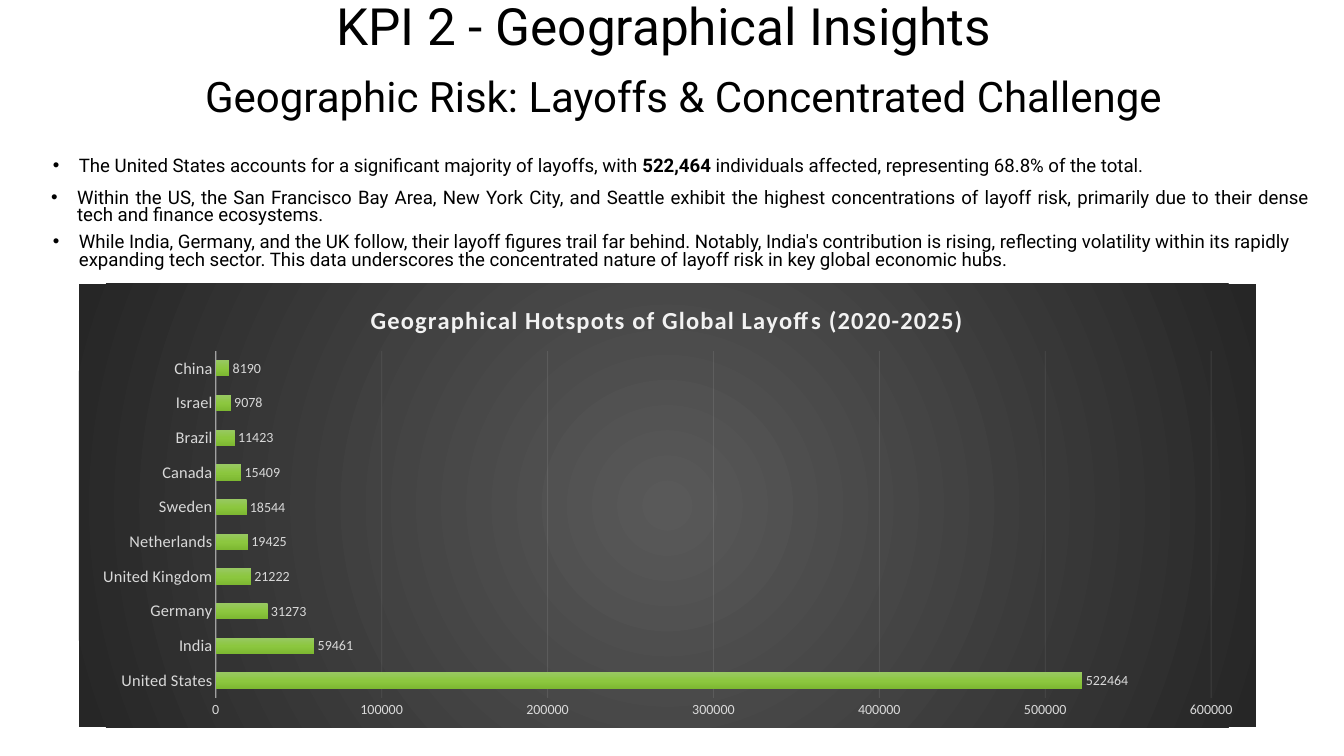
from dataclasses import dataclass
from typing import Any

from lxml import etree
from pptx import Presentation
from pptx import util as u
from pptx.chart.data import CategoryChartData
from pptx.dml.color import RGBColor
from pptx.enum import chart as charts, text
from pptx.oxml import ns, parse_xml

PX = 9144  # EMU, 100 px to the inch
COLORS = {"ink": "000000", "label": "D9D9D9", "title": "F2F2F2", "line": "F2F2F2"}
BACKDROP = [(0, "595959"), (100, "262626")]
BAR_GREEN = [(0, "98C862"), (50, "8CC73F"), (100, "7DB831")]
LINEAR = '<a:lin ang="5400000" scaled="0"/>'
RADIAL = ('<a:path path="circle"><a:fillToRect l="50000" t="50000" '
          'r="50000" b="50000"/></a:path>')
LAYOFFS = {
    "United States": 522464, "India": 59461, "Germany": 31273,
    "United Kingdom": 21222, "Netherlands": 19425, "Sweden": 18544,
    "Canada": 15409, "Brazil": 11423, "Israel": 9078, "China": 8190,
}
ALIGN = text.PP_ALIGN


@dataclass(frozen=True)
class Area:
    left: int
    top: int
    width: int
    height: int

    def emu(self) -> list[int]:
        return [n * PX for n in (self.left, self.top, self.width, self.height)]


@dataclass(frozen=True)
class Passage:
    area: Area
    spans: tuple[str, ...]  # every second span is bold
    size: int
    spacing: float
    align: Any
    bullet: bool = False
    inset: tuple[int, int] = (0, 0)
    autosize: Any = text.MSO_AUTO_SIZE.NONE


TITLE = Passage(Area(400, 46, 925, 42), ("KPI 2 - Geographical Insights",),
                44, 14.5, ALIGN.LEFT)
PASSAGES = [
    Passage(Area(176, 111, 1276, 42),
            ("Geographic Risk: Layoffs & Concentrated Challenge",),
            36, 23.5, ALIGN.CENTER),
    Passage(Area(63, 189, 1494, 23),
            ("The United States accounts for a significant majority of layoffs, with ",
             "522,464",
             " individuals affected, representing 68.8% of the total."),
            16, 15, ALIGN.JUSTIFY, bullet=True),
    Passage(Area(51, 222, 1518, 53),
            ("Within the US, the San Francisco Bay Area, New York City, and Seattle "
             "exhibit the highest concentrations of layoff risk, primarily due to "
             "their dense tech and finance ecosystems.",),
            16, 15, ALIGN.JUSTIFY, bullet=True, inset=(10, 5),
            autosize=text.MSO_AUTO_SIZE.SHAPE_TO_FIT_TEXT),
    Passage(Area(63, 280, 1494, 42),
            ("While India, Germany, and the UK follow, their layoff figures trail far "
             "behind. Notably, India's contribution is rising, reflecting volatility "
             "within its rapidly expanding tech sector. This data underscores the "
             "concentrated nature of layoff risk in key global economic hubs.",),
            16, 15, ALIGN.LEFT, bullet=True),
]
CHART = Area(94, 338, 1401, 528)
PLOT = Area(257, 418, 1185, 413)
CHART_TITLE = Area(436, 355, 0, 0)


def assign(target: Any, **values: Any) -> None:
    for name, value in values.items():
        setattr(target, name, value)


def style_font(font: Any, face: str, size: int, color: str, bold: bool = False) -> None:
    assign(font, name=face, size=u.Pt(size), bold=bold)
    font.color.rgb = RGBColor.from_string(COLORS[color])


def add_bullet(para: Any) -> None:
    properties = para._p.get_or_add_pPr()
    for name, indent in (("marL", 31), ("indent", -31)):
        properties.set(name, str(indent * PX))
    etree.SubElement(properties, ns.qn("a:buFont")).set("typeface", "Arial")
    etree.SubElement(properties, ns.qn("a:buChar")).set("char", "•")


def write_passage(box: Any, passage: Passage) -> None:
    left, top, width, height = passage.area.emu()
    assign(box, left=left, top=top, width=width, height=height)
    across, down = (n * PX for n in passage.inset)
    frame = box.text_frame
    assign(frame, word_wrap=True, auto_size=passage.autosize,
           vertical_anchor=text.MSO_ANCHOR.TOP, margin_left=across,
           margin_right=across, margin_top=down, margin_bottom=down)
    para = frame.paragraphs[0]
    if passage.bullet:
        add_bullet(para)
    assign(para, alignment=passage.align, line_spacing=u.Pt(passage.spacing))
    for index, words in enumerate(passage.spans):
        span = para.add_run()
        span.text = words
        style_font(span.font, "Roboto", passage.size, "ink", bold=index % 2 == 1)


def gradient(stops: list[tuple[int, str]], direction: str) -> Any:
    marks = "".join(f'<a:gs pos="{at * 1000}"><a:srgbClr val="{color}"/></a:gs>'
                    for at, color in stops)
    return parse_xml(f'<a:gradFill {ns.nsdecls("a")} rotWithShape="1">'
                     f'<a:gsLst>{marks}</a:gsLst>{direction}</a:gradFill>')


def style_line(line: Any, width: float, opacity: int) -> None:
    line.width = u.Pt(width)
    line.color.rgb = RGBColor.from_string(COLORS["line"])
    color = line._ln.find(".//" + ns.qn("a:srgbClr"))
    etree.SubElement(color, ns.qn("a:alpha")).set("val", str(opacity * 1000))


def place_in_chart(parent: Any, area: Area, inner: bool) -> None:
    """Fix a chart part at a slide area; a zero size stays automatic."""
    places = {"x": (area.left - CHART.left) / CHART.width,
              "y": (area.top - CHART.top) / CHART.height}
    if area.width:
        places |= {"w": area.width / CHART.width, "h": area.height / CHART.height}
    target = '<c:layoutTarget val="inner"/>' if inner else ""
    modes = '<c:xMode val="edge"/><c:yMode val="edge"/>'
    sizes = "".join(f'<c:{name} val="{value:.4f}"/>' for name, value in places.items())
    layout = parse_xml(f'<c:layout {ns.nsdecls("c")}><c:manualLayout>{target}{modes}'
                       f'{sizes}</c:manualLayout></c:layout>')
    for old in parent.findall(ns.qn("c:layout")):
        parent.remove(old)
    heading = parent.find(ns.qn("c:tx"))
    if heading is None:
        parent.insert(0, layout)
    else:
        heading.addnext(layout)


def style_axes(chart: Any) -> None:
    for axis, size in ((chart.category_axis, 14), (chart.value_axis, 12)):
        assign(axis, major_tick_mark=charts.XL_TICK_MARK.NONE,
               minor_tick_mark=charts.XL_TICK_MARK.NONE)
        style_font(axis.tick_labels.font, "Calibri", size, "label")
    chart.category_axis.has_major_gridlines = False
    style_line(chart.category_axis.format.line, 1, 54)
    values = chart.value_axis
    assign(values, minimum_scale=0, maximum_scale=600000, major_unit=100000,
           has_major_gridlines=True)
    values.format.line.fill.background()
    style_line(values.major_gridlines.format.line, 0.75, 10)


def add_layoff_chart(page: Any) -> None:
    data = CategoryChartData()
    data.categories = list(LAYOFFS)
    data.add_series("Series 1", list(LAYOFFS.values()))
    chart = page.shapes.add_chart(charts.XL_CHART_TYPE.BAR_CLUSTERED,
                                  *CHART.emu(), data).chart
    assign(chart, has_legend=False, has_title=True)
    style_font(chart.font, "Calibri", 10, "ink")
    backdrop = parse_xml(f'<c:spPr {ns.nsdecls("c", "a")}><a:ln><a:noFill/></a:ln></c:spPr>')
    backdrop.insert(0, gradient(BACKDROP, RADIAL))
    chart._chartSpace.find(ns.qn("c:txPr")).addprevious(backdrop)

    title = chart.chart_title
    span = title.text_frame.paragraphs[0].add_run()
    span.text = "Geographical Hotspots of Global Layoffs (2020-2025)"
    style_font(span.font, "Calibri", 21, "title", bold=True)
    span.font._element.set("spc", "100")
    title.include_in_layout = False
    place_in_chart(title._element, CHART_TITLE, inner=False)

    style_axes(chart)
    plot = chart.plots[0]
    assign(plot, gap_width=115, overlap=-20, vary_by_categories=False)
    place_in_chart(chart._chartSpace.find(".//" + ns.qn("c:plotArea")), PLOT, inner=True)
    series = plot.series[0]
    series._element.get_or_add_spPr().insert(0, gradient(BAR_GREEN, LINEAR))
    labels = series.data_labels
    assign(labels, show_value=True, position=charts.XL_LABEL_POSITION.OUTSIDE_END)
    style_font(labels.font, "Calibri", 12, "label")


def main() -> None:
    deck = Presentation()
    assign(deck, slide_width=1600 * PX, slide_height=900 * PX)
    page = deck.slides.add_slide(deck.slide_layouts[5])
    write_passage(page.shapes.title, TITLE)
    for passage in PASSAGES:
        write_passage(page.shapes.add_textbox(*passage.area.emu()), passage)
    add_layoff_chart(page)
    deck.save("out.pptx")


if __name__ == "__main__":
    main()
